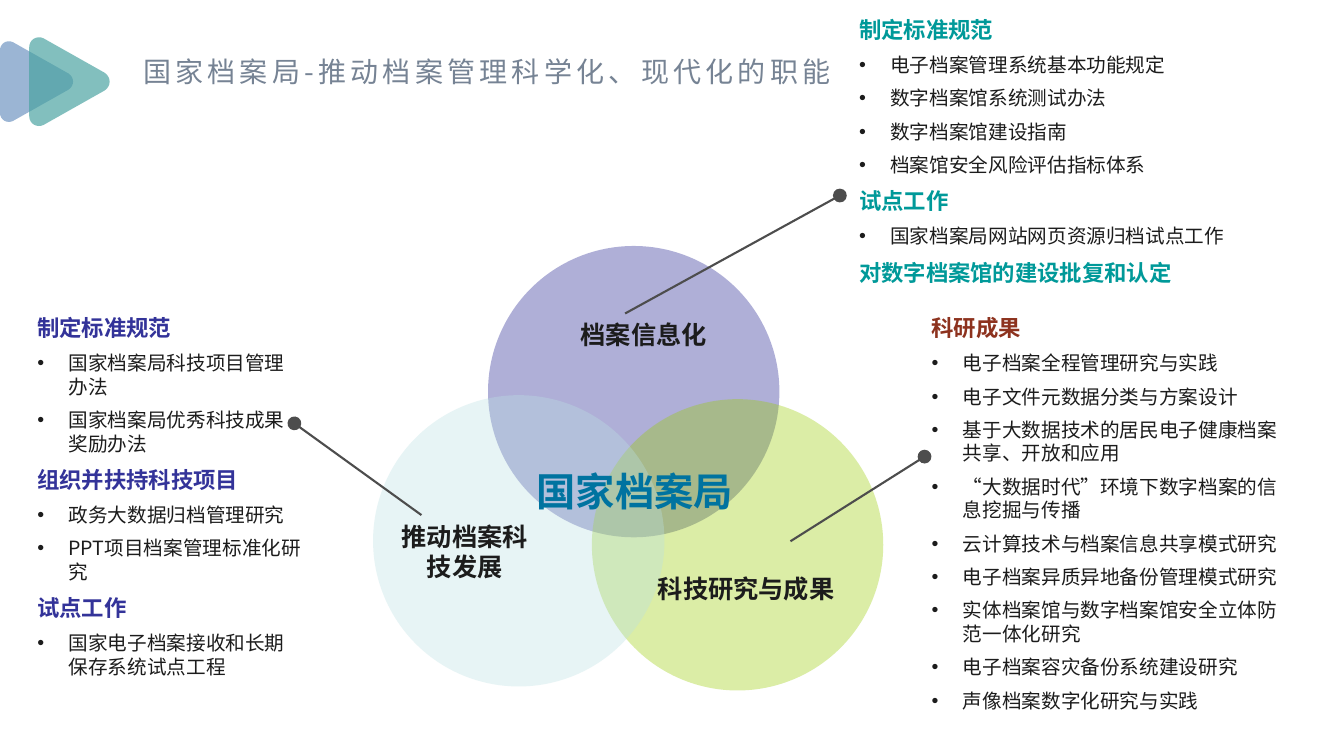
from pptx import Presentation
from pptx.dml.color import RGBColor
from pptx.enum import shapes, text
from pptx.oxml import ns
from pptx.util import Inches, Pt
from lxml import etree

COLORS = {
    "title": "768394", "ink": "1C1C1C", "centre": "0073A0", "line": "4D4D4D",
    "indigo": "333399", "lime": "99CC00", "ice": "BBE0E3",
    "brown": "8D321E", "teal": "009999",
    "arrow_back": "6C92C0", "arrow_front": "48A2A0",
}
CJK = "Noto Sans CJK SC"
LATIN = "Arial"

# Each list: box, heading colour, sections of (heading, items)
LISTS = [
    ((0.27, 3.07, 2.84, 3.89), "indigo", [
        ("制定标准规范", ["国家档案局科技项目管理办法", "国家档案局优秀科技成果奖励办法"]),
        ("组织并扶持科技项目", ["政务大数据归档管理研究", "PPT项目档案管理标准化研究"]),
        ("试点工作", ["国家电子档案接收和长期保存系统试点工程"]),
    ]),
    ((9.14, 3.07, 3.69, 4.26), "brown", [
        ("科研成果", [
            "电子档案全程管理研究与实践", "电子文件元数据分类与方案设计",
            "基于大数据技术的居民电子健康档案共享、开放和应用",
            "“大数据时代”环境下数字档案的信息挖掘与传播",
            "云计算技术与档案信息共享模式研究", "电子档案异质异地备份管理模式研究",
            "实体档案馆与数字档案馆安全立体防范一体化研究",
            "电子档案容灾备份系统建设研究", "声像档案数字化研究与实践"]),
    ]),
    ((8.42, 0.11, 4.5, 3.7), "teal", [
        ("制定标准规范", ["电子档案管理系统基本功能规定", "数字档案馆系统测试办法",
                    "数字档案馆建设指南", "档案馆安全风险评估指标体系"]),
        ("试点工作", ["国家档案局网站网页资源归档试点工作"]),
        ("对数字档案馆的建设批复和认定", []),
    ]),
]
CIRCLE_SIZE = 2.89
CIRCLES = [(4.84, 2.44, "indigo", 39), (5.87, 3.96, "lime", 35), (3.7, 3.92, "ice", 35)]
POINTERS = [(4.18, 5.11, 2.92, 4.2), (7.84, 5.37, 9.17, 4.53), (6.2, 3.11, 8.33, 1.94)]
LABELS = [
    ((5.19, 3.12, 2.39, 0.4), "档案信息化"),
    ((3.81, 5.12, 1.6, 0.71), "推动档案科技发展"),
    ((6.39, 5.64, 2.02, 0.4), "科技研究与成果"),
]
# Rounded arrowhead: start, two controls and end of each corner, about its mid-left
CORNERS = [
    [(0.13, -0.39), (0.07, -0.42), (0, -0.38), (0, -0.31)],
    [(0, 0.31), (0, 0.38), (0.07, 0.42), (0.13, 0.39)],
    [(0.68, 0.08), (0.74, 0.04), (0.74, -0.04), (0.68, -0.08)],
]


def place(shape, box):
    shape.left, shape.top, shape.width, shape.height = map(Inches, box)


def style(paragraph, size, color, font=LATIN, bold=False):
    paragraph.font.size = Pt(size)
    paragraph.font.bold = bold
    paragraph.font.color.rgb = RGBColor.from_string(COLORS[color])
    paragraph.font.name = font
    properties = paragraph.font._element
    etree.SubElement(properties, ns.qn("a:ea"), typeface=CJK)
    return properties


def set_frame(frame, wrap=True):
    frame.word_wrap = wrap
    frame.auto_size = text.MSO_AUTO_SIZE.NONE
    frame.vertical_anchor = text.MSO_ANCHOR.TOP


def paint(shape, color, opacity):
    shape.shadow.inherit = False
    shape.line.fill.background()
    shape.fill.solid()
    shape.fill.fore_color.rgb = RGBColor.from_string(COLORS[color])
    fill_color = shape._element.spPr.find(".//" + ns.qn("a:srgbClr"))
    etree.SubElement(fill_color, ns.qn("a:alpha"), val=str(opacity * 1000))


def bezier(points, t):
    weights = ((1 - t) ** 3, 3 * t * (1 - t) ** 2, 3 * t ** 2 * (1 - t), t ** 3)
    return tuple(sum(w * p[axis] for w, p in zip(weights, points)) for axis in (0, 1))


def add_arrowhead(group, left, scale, color):
    outline = [bezier(corner, step / 8) for corner in CORNERS for step in range(9)]
    points = [(Inches(left + x * scale), Inches(0.81 + y * scale)) for x, y in outline]
    builder = group.shapes.build_freeform(*points[0])
    builder.add_line_segments(points[1:])
    paint(builder.convert_to_shape(), color, 68)


def add_circle(slide, left, top, color, opacity):
    box = map(Inches, (left, top, CIRCLE_SIZE, CIRCLE_SIZE))
    paint(slide.shapes.add_shape(shapes.MSO_SHAPE.OVAL, *box), color, opacity)


def add_pointer(slide, ends):
    line = slide.shapes.add_connector(shapes.MSO_CONNECTOR.STRAIGHT, *map(Inches, ends))
    line.line.width = Pt(1.5)
    line.line.color.rgb = RGBColor.from_string(COLORS["line"])
    etree.SubElement(line.line._get_or_add_ln(), ns.qn("a:tailEnd"),
                     type="oval", w="lg", len="lg")
    etree.SubElement(line._element.spPr, ns.qn("a:effectLst"))


def add_label(slide, box, words, size=18, color="ink", wrap=True):
    frame = slide.shapes.add_textbox(*map(Inches, box)).text_frame
    set_frame(frame, wrap)
    paragraph = frame.paragraphs[0]
    paragraph.text = words
    paragraph.alignment = text.PP_ALIGN.CENTER
    style(paragraph, size, color, bold=True)


def fill_title(title):
    place(title, (1.32, 0.49, 7.14, 0.8))
    set_frame(title.text_frame)
    paragraph = title.text_frame.paragraphs[0]
    paragraph.text = "国家档案局-推动档案管理科学化、现代化的职能"
    paragraph.alignment = text.PP_ALIGN.LEFT
    style(paragraph, 20, "title", CJK).set("spc", "300")


def fill_list(body, box, color, sections):
    place(body, box)
    frame = body.text_frame
    set_frame(frame)
    lines = []
    for heading, items in sections:
        lines += [(heading, True)] + [(item, False) for item in items]
    for index, (words, is_heading) in enumerate(lines):
        paragraph = frame.add_paragraph() if index else frame.paragraphs[0]
        paragraph.text = words
        properties = paragraph._element.get_or_add_pPr()
        indent = 0.13 if is_heading else 0.31
        properties.set("marL", str(Inches(indent)))
        properties.set("indent", str(-Inches(indent)))
        if is_heading:
            etree.SubElement(properties, ns.qn("a:buNone"))
            style(paragraph, 16, color, bold=True)
        else:
            etree.SubElement(properties, ns.qn("a:buFont"), typeface=LATIN)
            etree.SubElement(properties, ns.qn("a:buChar"), char="•")
            style(paragraph, 14, "ink", CJK)
        paragraph.alignment = text.PP_ALIGN.LEFT
        paragraph.space_before = Pt(8 if is_heading else 7)


def main():
    presentation = Presentation()
    presentation.slide_width, presentation.slide_height = Inches(13.33), Inches(7.5)
    slide = presentation.slides.add_slide(presentation.slide_layouts[4])
    title, *bodies = list(slide.placeholders)

    # Title and its arrowheads
    fill_title(title)
    group = slide.shapes.add_group_shape()
    add_arrowhead(group, 0, 1, "arrow_back")
    add_arrowhead(group, 0.29, 1.1, "arrow_front")

    # Three overlapping circles with pointers
    for circle in CIRCLES:
        add_circle(slide, *circle)
    for ends in POINTERS:
        add_pointer(slide, ends)
    add_label(slide, (5.21, 4.59, 2.17, 0.57), "国家档案局", 28, "centre", wrap=False)
    for box, words in LABELS:
        add_label(slide, box, words)

    # Lists around the circles
    for body, content in zip(bodies, LISTS):
        fill_list(body, *content)
    for spare in bodies[len(LISTS):]:
        spare._element.getparent().remove(spare._element)

    presentation.save("out.pptx")


if __name__ == "__main__":
    main()
